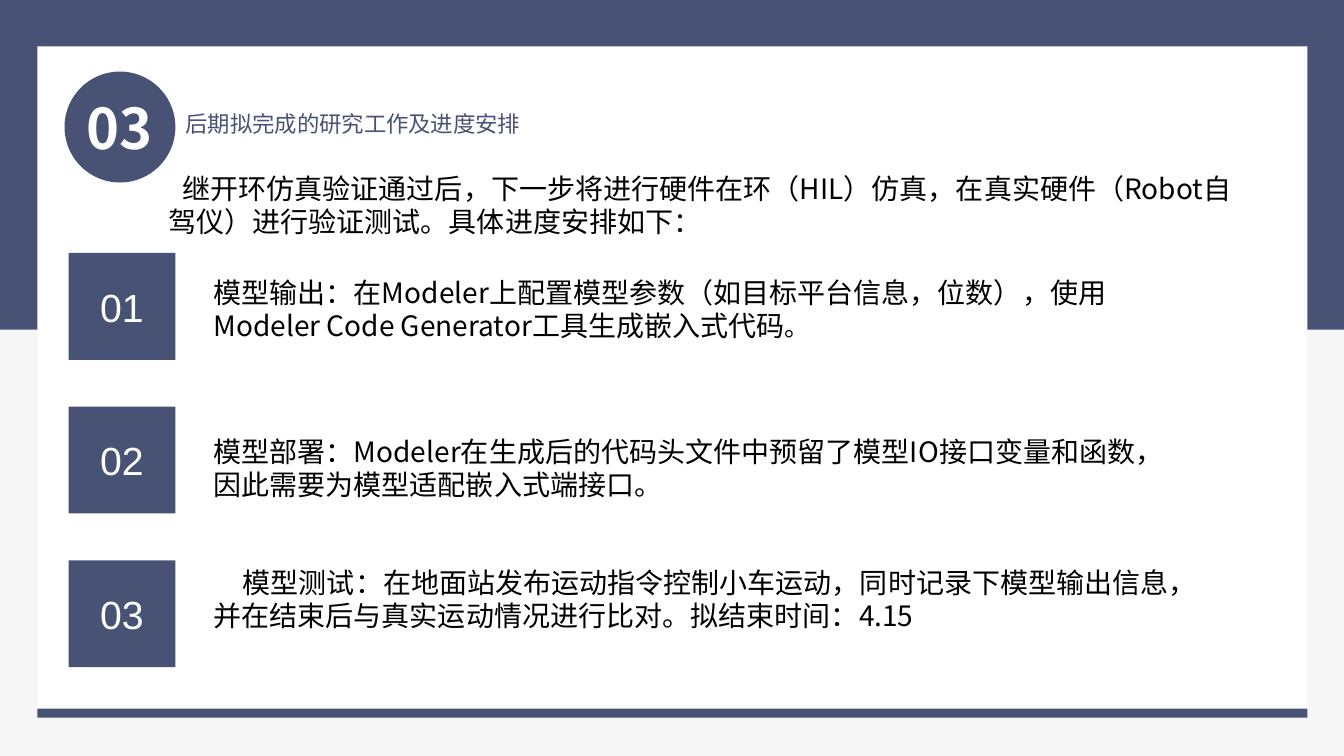
from dataclasses import dataclass

from lxml.etree import SubElement
from pptx import Presentation
from pptx.dml.color import RGBColor as Color
from pptx.enum.shapes import MSO_SHAPE as Kind
from pptx.enum.text import MSO_ANCHOR as Anchor, MSO_AUTO_SIZE as Fit, PP_ALIGN as Align
from pptx.oxml.ns import qn
from pptx.util import Inches, Pt


@dataclass(frozen=True)
class Theme:
    navy: str = "485275"
    white: str = "FFFFFF"
    black: str = "000000"
    paper: str = "F6F6F6"
    sans: str = "Noto Sans CJK SC"
    plain: str = "Arial"
    head: int = 16
    stop: int = 18
    body: int = 20
    label: int = 28
    badge: int = 40
    lead: float = 1.2


def write(shape, *parts, size, color, font, bold=False, align=Align.LEFT,
          anchor=Anchor.TOP, indent=0, lead=None):
    """Write one paragraph; a part is a string or a (string, size) pair."""
    frame = shape.text_frame
    frame.word_wrap = True
    frame.auto_size = Fit.NONE
    frame.vertical_anchor = anchor
    para = frame.paragraphs[0]
    para.alignment = align
    para.space_before = Pt(0)
    if lead:
        para.line_spacing = Pt(size * lead)
    props = para._p.get_or_add_pPr()
    props.set("marL", "0")
    props.set("indent", str(Inches(indent)))
    SubElement(props, qn("a:buNone"))
    for part in parts:
        words, points = part if isinstance(part, tuple) else (part, size)
        run = para.add_run()
        run.text = words
        run.font.size = Pt(points)
        run.font.bold = bold
        run.font.color.rgb = Color.from_string(color)
        run.font.name = font
        SubElement(run._r.get_or_add_rPr(), qn("a:ea")).set("typeface", font)


class Deck:
    """Holds the style and the slide; boxes are percentages of the slide."""

    def __init__(self, theme):
        self.theme = theme
        self.show = Presentation()
        self.show.slide_width = Inches(13.33)
        self.show.slide_height = Inches(7.5)
        self.slide = self.show.slides.add_slide(self.show.slide_layouts[1])
        fill = self.slide.background.fill
        fill.solid()
        fill.fore_color.rgb = Color.from_string(theme.paper)

    def place(self, x, y, w, h):
        wide, high = self.show.slide_width, self.show.slide_height
        return [int(part * full / 100)
                for part, full in ((x, wide), (y, high), (w, wide), (h, high))]

    def block(self, box, color, kind=Kind.RECTANGLE):
        shape = self.slide.shapes.add_shape(kind, *self.place(*box))
        shape.shadow.inherit = False
        shape.fill.solid()
        shape.fill.fore_color.rgb = Color.from_string(color)
        shape.line.fill.background()
        return shape

    def label(self, box, words):
        look = self.theme
        write(self.block(box, look.navy), words, size=look.label, color=look.white,
              font=look.plain, align=Align.CENTER, anchor=Anchor.MIDDLE)

    def format(self, shape, *parts, **style):
        look = self.theme
        base = dict(size=look.body, color=look.black, font=look.sans, lead=look.lead)
        write(shape, *parts, **{**base, **style})

    def text(self, box, *parts, **style):
        self.format(self.slide.shapes.add_textbox(*self.place(*box)), *parts, **style)

    def holder(self, index, box, *parts, **style):
        shape = self.slide.placeholders[index]
        shape.left, shape.top, shape.width, shape.height = self.place(*box)
        shape.element.getparent().append(shape.element)  # in front of the panels
        self.format(shape, *parts, **style)

    def save(self):
        self.show.save("out.pptx")


TALL = 10.27  # height of every text box
STEP = 20.33  # distance between numbered squares
ITEMS = [  # top, width, indent, text
    (35.73, 74.63, 0,
     ["模型输出：在Modeler上配置模型参数（如目标平台信息，位数），使用 "
      "Modeler Code Generator工具生成嵌入式代码", ("。", Theme.stop)]),
    (56.8, 71.25, 0,
     ["模型部署：Modeler在生成后的代码头文件中预留了模型IO接口变量和函数，"
      "因此需要为模型适配嵌入式端接口。"]),
    (74.13, 75.98, 0.29,
     ["模型测试：在地面站发布运动指令控制小车运动，同时记录下模型输出信息，"
      "并在结束后与真实运动情况进行比对。拟结束时间：4.15"]),
]


def main():
    look = Theme()
    deck = Deck(look)

    # Backdrop
    deck.block((0, 0, 100, 43.6), look.navy)
    deck.block((2.78, 6.13, 94.5, 88), look.white)
    deck.block((2.78, 93.73, 94.5, 1.2), look.navy)

    # Heading with its badge
    deck.holder(0, (13.05, 13.87, 35.55, TALL), "后期拟完成的研究工作及进度安排",
                size=look.head, color=look.navy)
    deck.block((4.8, 9.47, 8.25, 14.67), look.navy, Kind.OVAL)
    deck.text((4.95, 11.73, 7.95, TALL), "03", size=look.badge,
              color=look.white, bold=True, align=Align.CENTER)

    # Introduction
    deck.holder(1, (11.78, 22, 81.45, TALL),
                "继开环仿真验证通过后，下一步将进行硬件在环（HIL）仿真，"
                "在真实硬件（Robot自驾仪）进行验证测试。具体进度安排如下：",
                indent=0.14)

    # Numbered steps
    for row, (top, wide, indent, parts) in enumerate(ITEMS):
        deck.label((5.1, 33.47 + row * STEP, 7.95, 14.13), f"{row + 1:02}")
        deck.text((15.15, top, wide, TALL), *parts, indent=indent)

    deck.save()


if __name__ == "__main__":
    main()
